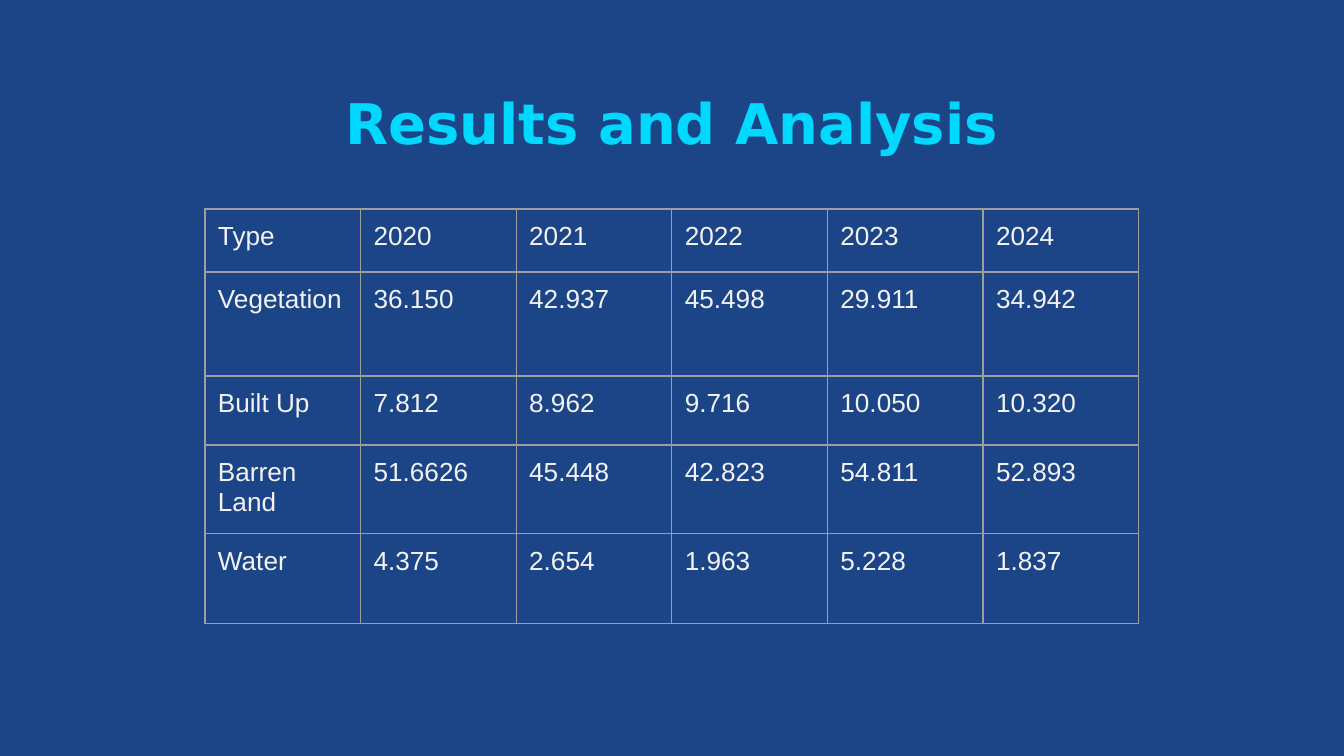
from lxml.etree import SubElement
from pptx import Presentation
from pptx.dml.color import RGBColor
from pptx.enum.text import MSO_ANCHOR, PP_ALIGN
from pptx.oxml.ns import qn
from pptx.util import Emu, Pt

PIXELS_PER_INCH = 134.4
SLIDE_SIZE = (1344, 756)
TITLE_BOX = (46, 80, 1252, 84)
TABLE_BOX = (205, 209, 934, 411)
ROW_HEIGHTS = (63, 104, 69, 85, 90)
INSET = 13

BACKGROUND = "1C4587"
BORDER = "9E9E9E"
TITLE_FORMAT = {"name": "DejaVu Sans", "size": Pt(30), "bold": True, "color": "00D9FD"}
CELL_FORMAT = {"name": "Arial", "size": Pt(14), "bold": False, "color": "F3F3F3"}

LAND_COVER = (
    ("Type", "2020", "2021", "2022", "2023", "2024"),
    ("Vegetation", "36.150", "42.937", "45.498", "29.911", "34.942"),
    ("Built Up", "7.812", "8.962", "9.716", "10.050", "10.320"),
    ("Barren Land", "51.6626", "45.448", "42.823", "54.811", "52.893"),
    ("Water", "4.375", "2.654", "1.963", "5.228", "1.837"),
)


def px(length):
    return Emu(round(length * 914400 / PIXELS_PER_INCH))


def set_color(color_format, hex_color):
    color_format.rgb = RGBColor.from_string(hex_color)


def set_insets(target):
    for side in ("left", "top", "right", "bottom"):
        setattr(target, f"margin_{side}", px(INSET))


def write_text(text_frame, text, text_format):
    paragraph = text_frame.paragraphs[0]
    run = paragraph.add_run()
    run.text = text
    for attribute, value in text_format.items():
        if attribute == "color":
            set_color(run.font.color, value)
        else:
            setattr(run.font, attribute, value)
    return paragraph


def add_borders(cell):
    properties = cell._tc.get_or_add_tcPr()
    for position, tag in enumerate(("a:lnL", "a:lnR", "a:lnT", "a:lnB")):
        line = SubElement(properties, qn(tag), w=str(Pt(0.75)))
        fill = SubElement(line, qn("a:solidFill"))
        SubElement(fill, qn("a:srgbClr"), val=BORDER)
        properties.insert(position, line)


def add_title(slide, box, text):
    shape = slide.shapes.add_textbox(*map(px, box))
    text_frame = shape.text_frame
    text_frame.word_wrap = True
    text_frame.vertical_anchor = MSO_ANCHOR.MIDDLE
    set_insets(text_frame)
    write_text(text_frame, text, TITLE_FORMAT).alignment = PP_ALIGN.CENTER


def add_results_table(slide, box, rows):
    column_count = len(rows[0])
    shape = slide.shapes.add_table(len(rows), column_count, *map(px, box))
    table = shape.table
    table.first_row = False
    table.horz_banding = False
    for column in table.columns:
        column.width = px(box[2] / column_count)
    for row, height, values in zip(table.rows, ROW_HEIGHTS, rows):
        row.height = px(height)
        for cell, value in zip(row.cells, values):
            cell.fill.background()
            set_insets(cell)
            add_borders(cell)
            write_text(cell.text_frame, value, CELL_FORMAT)


def main():
    presentation = Presentation()
    presentation.slide_width, presentation.slide_height = map(px, SLIDE_SIZE)
    slide = presentation.slides.add_slide(presentation.slide_layouts[6])
    slide.background.fill.solid()
    set_color(slide.background.fill.fore_color, BACKGROUND)
    add_title(slide, TITLE_BOX, "Results and Analysis")
    add_results_table(slide, TABLE_BOX, LAND_COVER)
    presentation.save("out.pptx")


if __name__ == "__main__":
    main()
